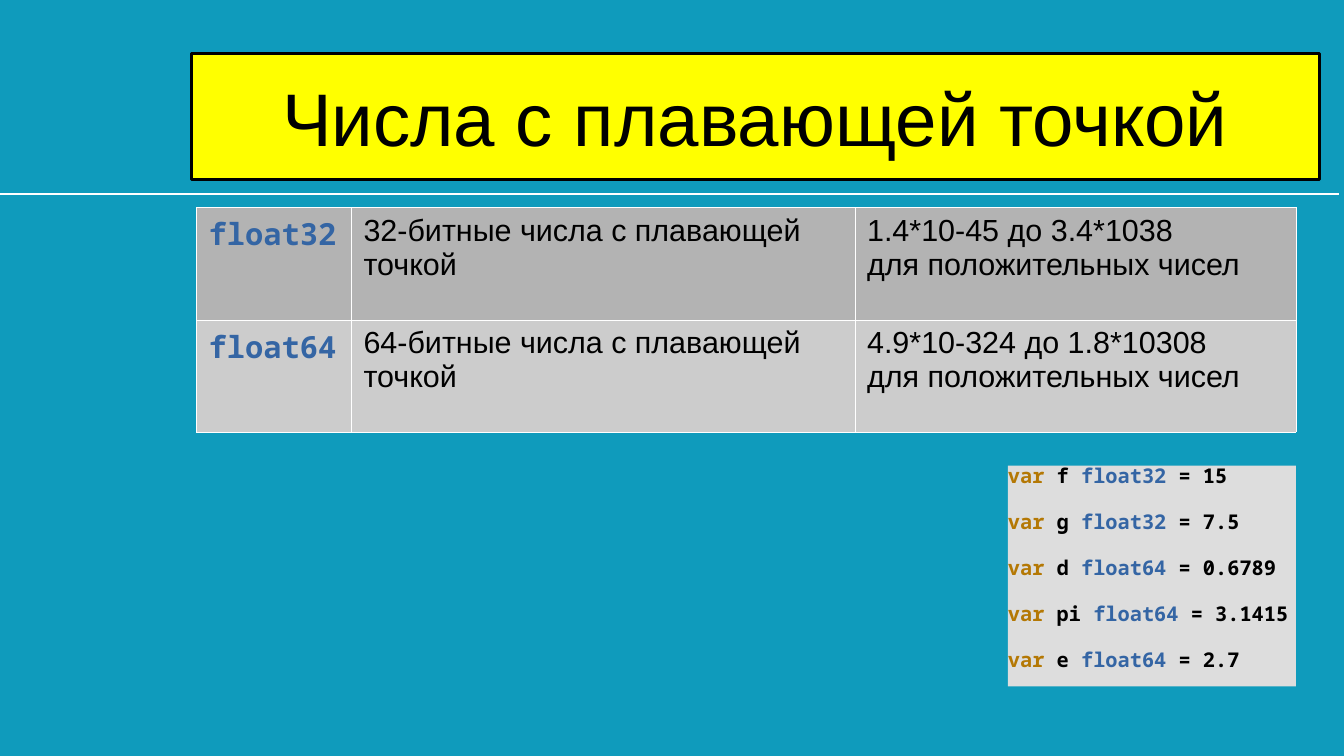
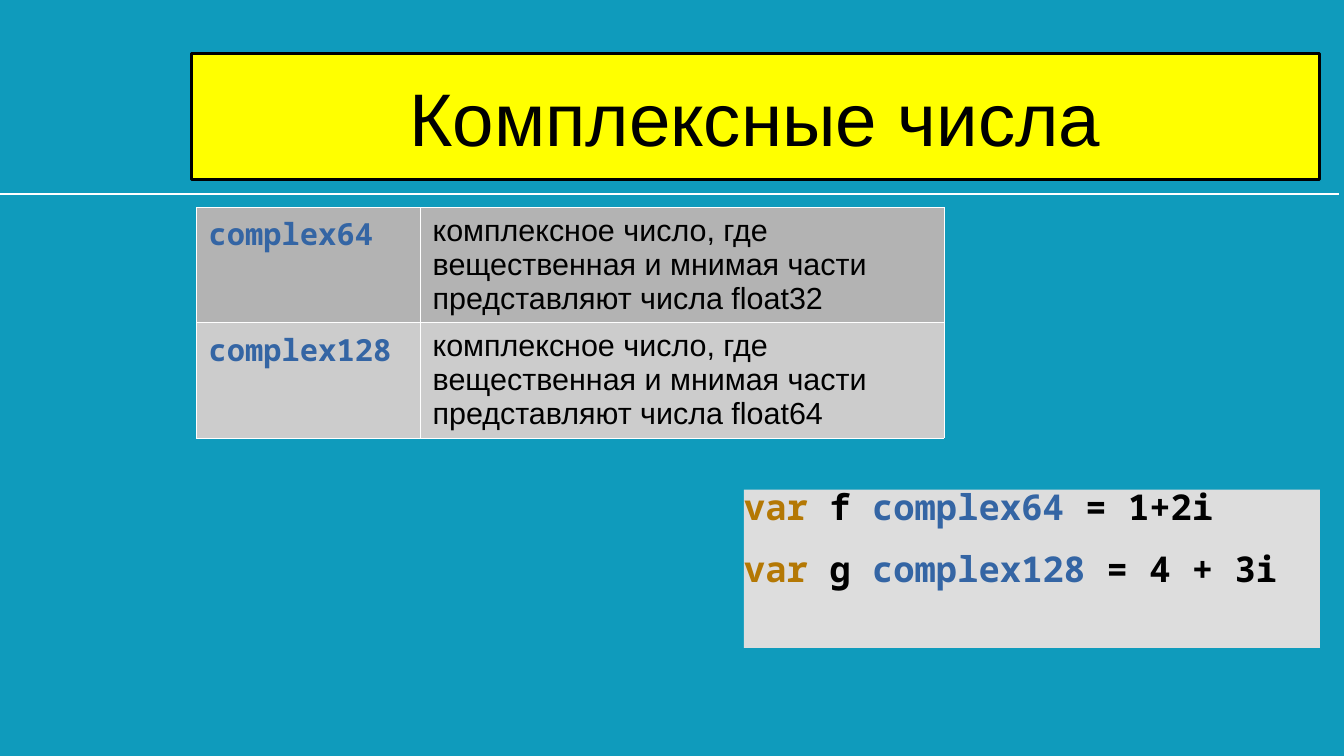
from lxml import etree
from pptx import Presentation
from pptx.dml.color import RGBColor
from pptx.enum.shapes import MSO_CONNECTOR, MSO_SHAPE
from pptx.enum.text import MSO_ANCHOR, PP_ALIGN
from pptx.oxml.ns import qn
from pptx.util import Cm, Pt

RECT = MSO_SHAPE.RECTANGLE
STRAIGHT = MSO_CONNECTOR.STRAIGHT
TOP, MIDDLE = MSO_ANCHOR.TOP, MSO_ANCHOR.MIDDLE
LEFT, CENTER = PP_ALIGN.LEFT, PP_ALIGN.CENTER

BACKGROUND, WHITE, BLACK, YELLOW = "0F9BBC", "FFFFFF", "000000", "FFFF00"
KEYWORD, TYPE, CODE_FILL = "B47804", "3465A4", "DDDDDD"
ROW_FILLS = ("B3B3B3", "CCCCCC")

TITLE_FONT = {"name": "Arial", "size": Pt(44)}
CELL_FONT = {"name": "Arial", "size": Pt(18), "bold": False}
CODE_FONT = {"name": "Noto Sans Mono", "bold": True}
TYPE_FONT = {**CODE_FONT, "size": Pt(18)}
CODE_SPACING = {"line_spacing": 0.9, "space_before": Pt(14.2), "alignment": LEFT}
NO_MARGINS = dict.fromkeys(
    ("margin_left", "margin_top", "margin_right", "margin_bottom"), 0)


def color(value):
    """Turn a hex string into a colour."""
    return RGBColor.from_string(value)


def apply(obj, values):
    """Set each attribute named in values on obj."""
    for name, value in values.items():
        setattr(obj, name, value)


def fill(obj, value):
    """Give obj a solid fill."""
    obj.fill.solid()
    obj.fill.fore_color.rgb = color(value)


def add_run(p, text, font, value):
    """Append a formatted run to a paragraph."""
    r = p.add_run()
    r.text = text
    apply(r.font, font)
    r.font.color.rgb = color(value)


def add_box(s, box, fill_color, anchor):
    """Add a filled rectangle without outline, shadow or margins."""
    sp = s.shapes.add_shape(RECT, *map(Cm, box))
    sp.shadow.inherit = False
    fill(sp, fill_color)
    sp.line.fill.background()
    apply(sp.text_frame,
          {**NO_MARGINS, "word_wrap": True, "vertical_anchor": anchor})
    return sp


def add_rule(s):
    """Draw the white line below the title."""
    y = Cm(4.04)
    sp = s.shapes.add_connector(STRAIGHT, 0, y, Cm(27.89), y)
    sp.line.color.rgb = color(WHITE)
    sp.line.width = Pt(1.5)
    etree.SubElement(sp._element.spPr, qn("a:effectLst"))


def add_title(s, text):
    """Add the yellow title band."""
    sp = add_box(s, (3.99, 1.12, 23.5, 2.62), YELLOW, MIDDLE)
    sp.line.color.rgb = color(BLACK)
    sp.line.width = Pt(1.5)
    p = sp.text_frame.paragraphs[0]
    p.alignment = CENTER
    add_run(p, text, TITLE_FONT, BLACK)


def add_borders(cell):
    """Draw thin white borders around a table cell."""
    tc_pr = cell._tc.get_or_add_tcPr()
    for i, side in enumerate(("lnL", "lnR", "lnT", "lnB")):
        ln = etree.Element(qn(f"a:{side}"), w=str(Pt(0.06)))
        solid = etree.SubElement(ln, qn("a:solidFill"))
        etree.SubElement(solid, qn("a:srgbClr"), val=WHITE)
        tc_pr.insert(i, ln)


def add_type_table(s, widths, height, rows):
    """Add a table with type names in its first column."""
    table = s.shapes.add_table(
        len(rows), len(widths), Cm(4.09), Cm(4.32),
        Cm(sum(widths)), Cm(height * len(rows))).table
    apply(table, {"first_row": False, "horz_banding": False})
    for column, width in zip(table.columns, widths):
        column.width = Cm(width)
    for row, texts, row_fill in zip(table.rows, rows, ROW_FILLS):
        row.height = Cm(height)
        for i, (cell, text) in enumerate(zip(row.cells, texts)):
            fill(cell, row_fill)
            add_borders(cell)
            font, value = (CELL_FONT, BLACK) if i else (TYPE_FONT, TYPE)
            tf = cell.text_frame
            for j, line in enumerate(text.split("\n")):
                p = tf.add_paragraph() if j else tf.paragraphs[0]
                add_run(p, line, font, value)


def add_code(s, box, size, variables):
    """Add a panel of highlighted variable declarations."""
    tf = add_box(s, box, CODE_FILL, TOP).text_frame
    font = {**CODE_FONT, "size": Pt(size)}
    for i, (name, kind, number) in enumerate(variables):
        p = tf.add_paragraph() if i else tf.paragraphs[0]
        apply(p, CODE_SPACING)
        add_run(p, "var", font, KEYWORD)
        add_run(p, f" {name} ", font, BLACK)
        add_run(p, kind, font, TYPE)
        add_run(p, f" = {number}", font, BLACK)


def add_slide(prs, title):
    """Add a slide with the shared background, line and title."""
    s = prs.slides.add_slide(prs.slide_layouts[6])
    fill(s.background, BACKGROUND)
    add_rule(s)
    add_title(s, title)
    return s


def main():
    """Build and save the presentation."""
    prs = Presentation()
    apply(prs, {"slide_width": Cm(28), "slide_height": Cm(15.75)})

    s = add_slide(prs, "Числа с плавающей точкой")
    add_type_table(s, (3.23, 10.49, 9.19), 2.34, [
        ("float32", "32-битные числа с плавающей точкой",
         "1.4*10-45 до 3.4*1038\nдля положительных чисел"),
        ("float64", "64-битные числа с плавающей точкой",
         "4.9*10-324 до 1.8*10308\nдля положительных чисел"),
    ])
    add_code(s, (21, 9.7, 6, 4.6), 12, [
        ("f", "float32", "15"),
        ("g", "float32", "7.5"),
        ("d", "float64", "0.6789"),
        ("pi", "float64", "3.1415"),
        ("e", "float64", "2.7"),
    ])

    s = add_slide(prs, "Комплексные числа")
    parts = "комплексное число, где вещественная и мнимая части представляют числа"
    add_type_table(s, (4.67, 10.9), 2.4, [
        ("complex64", f"{parts} float32"),
        ("complex128", f"{parts} float64"),
    ])
    add_code(s, (15.5, 10.2, 12, 3.3), 21, [
        ("f", "complex64", "1+2i"),
        ("g", "complex128", "4 + 3i"),
    ])

    prs.save("out.pptx")


if __name__ == "__main__":
    main()
